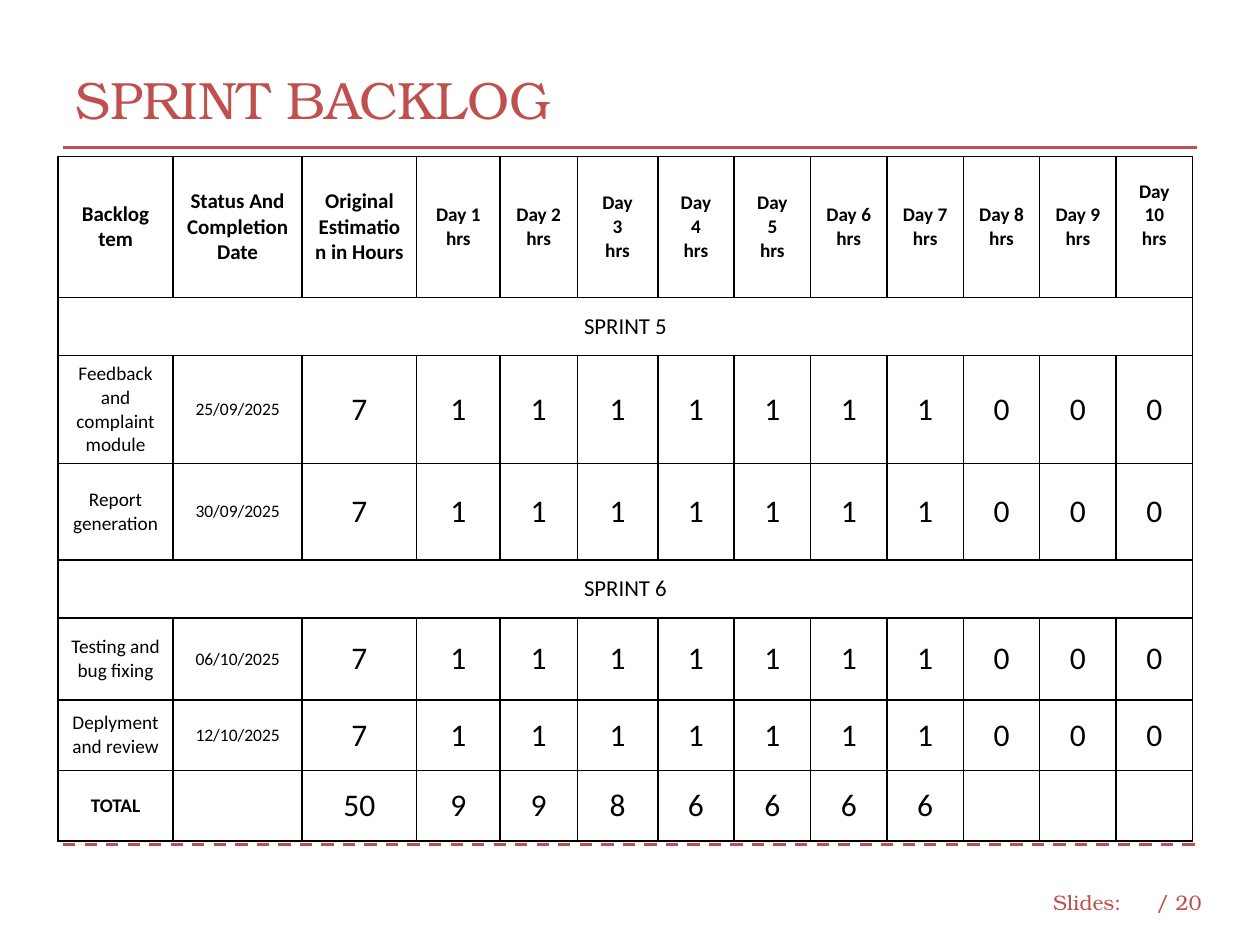
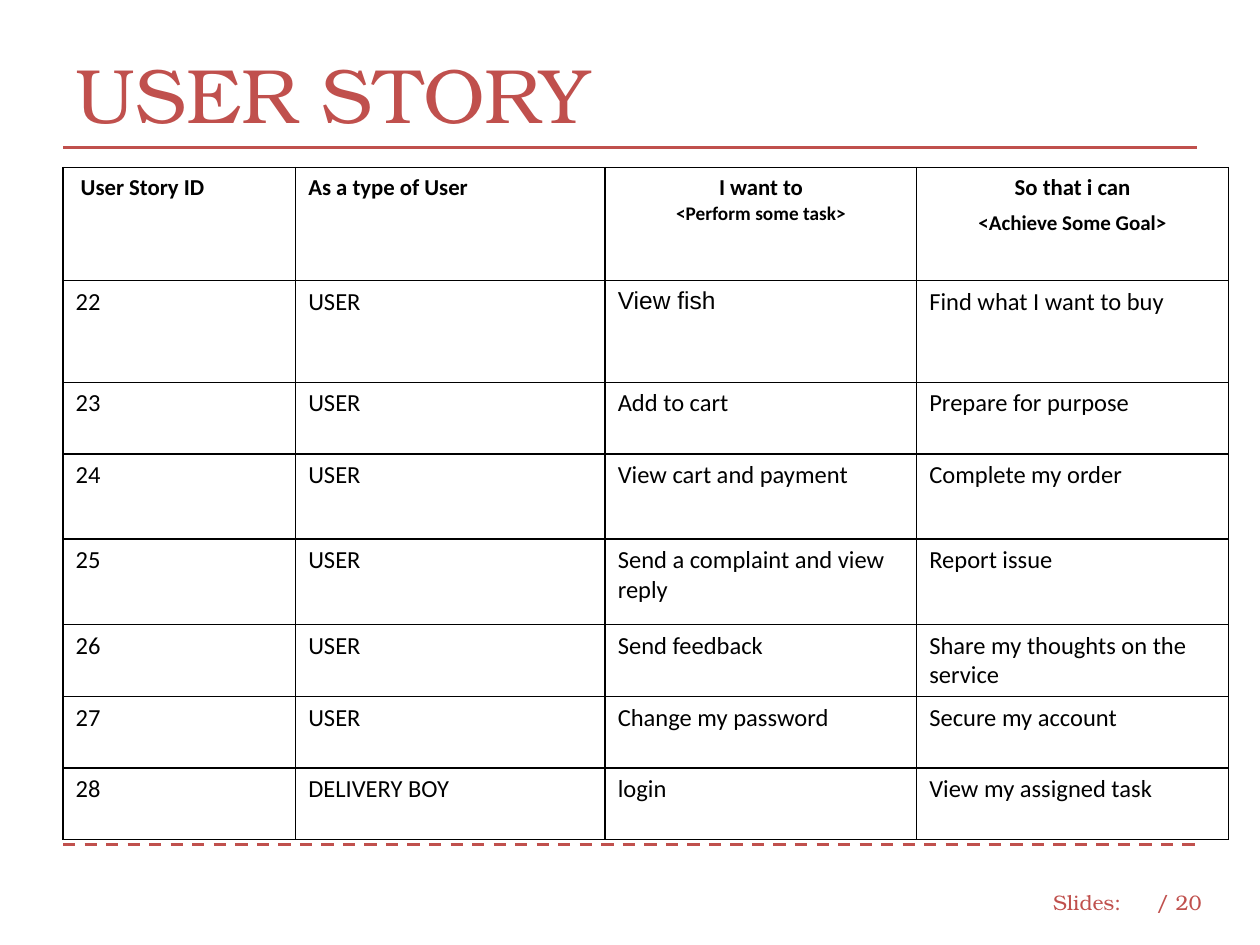
from lxml.etree import SubElement
from pptx import Presentation
from pptx.dml.color import RGBColor
from pptx.enum.dml import MSO_LINE_DASH_STYLE as DASH
from pptx.enum.shapes import MSO_CONNECTOR_TYPE as CONN
from pptx.enum.text import MSO_ANCHOR as ANCHOR, MSO_AUTO_SIZE as AUTO, PP_ALIGN as ALIGN
from pptx.oxml.ns import qn
from pptx.util import Cm, Pt

ACCENT, INK, PAPER = "C0504D", "000000", "FFFFFF"
SERIF, SANS = "TeX Gyre Bonum", "Calibri"
TITLE_BOX = (1.27, 0.84, 22.86, 2.31)
FOOTER_BOX = (20.98, 17.68, 3.53, 1.02)
BACKLOG_BOX = (1.17, 3.15)
STORY_BOX = (1.27, 3.38)

BACKLOG_COLS = [2.32, 2.6, 2.31, 1.68, 1.56, 1.62] + [1.54] * 7
BACKLOG_ROWS = [2.85, 1.17, 2.16, 1.95, 1.17, 1.65, 1.42, 1.42]
HOURS = ["7"] + ["1"] * 7 + ["0"] * 3
STACKED_DAYS = (3, 4, 5)
BACKLOG = [
    ["Backlog tem", "Status And Completion Date", "Original Estimation in Hours"]
    + [f"Day\n{d}\nhrs" if d in STACKED_DAYS else f"Day {d}\nhrs" for d in range(1, 11)],
    ["SPRINT 5"],
    ["Feedback and complaint module", "25/09/2025"] + HOURS,
    ["Report generation", "30/09/2025"] + HOURS,
    ["SPRINT 6"],
    ["Testing and bug fixing", "06/10/2025"] + HOURS,
    ["Deplyment and review", "12/10/2025"] + HOURS,
    ["TOTAL", "", "50", "9", "9", "8", "6", "6", "6", "6"],
]

STORY_COLS = [4.69, 6.24, 6.28, 6.28]
STORY_ROWS = [2.28, 2.05, 1.44, 1.72, 1.72, 1.44, 1.44, 1.44]
STORIES = [
    [" User Story ID", "As a type of User", "I want to\n<Perform some task>",
     "So that i can\n<Achieve Some Goal>"],
    ["22", "USER", "View fish", "Find what I want to buy"],
    ["23", "USER", "Add to cart", "Prepare for purpose"],
    ["24", "USER", "View cart and payment", "Complete my order"],
    ["25", "USER", "Send a complaint and view reply", "Report issue"],
    ["26", "USER", "Send feedback", "Share my thoughts on the service"],
    ["27", "USER", "Change my password", "Secure my account"],
    ["28", "DELIVERY BOY", "login", "View my assigned task"],
]


def rgb(value):
    """Turn a hex string into a colour."""
    return RGBColor.from_string(value)


def apply(obj, **formats):
    """Set each given attribute on an object."""
    for name, value in formats.items():
        setattr(obj, name, value)


def place(sp, x, y, w, h):
    """Move and size a shape, in centimetres."""
    apply(sp, left=Cm(x), top=Cm(y), width=Cm(w), height=Cm(h))


def write(tf, text, size, color=INK, font=SANS, bold=False, align=ALIGN.LEFT):
    """Write text into a frame, one paragraph per line."""
    for i, line in enumerate(text.split("\n")):
        p = tf.add_paragraph() if i else tf.paragraphs[0]
        p.alignment = align
        r = p.add_run()
        r.text = line
        apply(r.font, size=Pt(size), name=font, bold=bold)
        r.font.color.rgb = rgb(color)


def add_rule(slide, x, y, w, dash=None):
    """Draw a horizontal accent line."""
    sp = slide.shapes.add_connector(CONN.STRAIGHT, Cm(x), Cm(y), Cm(x + w), Cm(y))
    apply(sp.line, width=Pt(1.75), dash_style=dash)
    sp.line.color.rgb = rgb(ACCENT)
    SubElement(sp.element.spPr, qn("a:effectLst"))
    return sp


def add_label(slide, text, x, y, w, h):
    """Add a footer label."""
    sp = slide.shapes.add_textbox(Cm(x), Cm(y), Cm(w), Cm(h))
    apply(sp.text_frame, word_wrap=False, vertical_anchor=ANCHOR.MIDDLE)
    write(sp.text_frame, text, 12, ACCENT, SERIF)
    return sp


def add_frame(slide):
    """Draw the rules and footer, and move them to the layout."""
    x, y, w, h = FOOTER_BOX
    left, top, width, height = TITLE_BOX
    parts = [
        add_label(slide, "Slides:", x, y, 1.91, h),
        add_label(slide, "/ 20", x + 2.08, y, w - 2.08, h),
        add_rule(slide, left, y - 0.66, width, DASH.DASH),
        add_rule(slide, left, top + height - 0.18, width),
    ]
    for sp in parts:
        slide.slide_layout.shapes.element.append(sp.element)


def add_title(slide, text, size, spacing=1.0):
    """Fill the title placeholder."""
    sp = slide.shapes.title
    place(sp, *TITLE_BOX)
    apply(sp.text_frame, vertical_anchor=ANCHOR.MIDDLE, auto_size=AUTO.NONE, word_wrap=True)
    write(sp.text_frame, text, size, ACCENT, SERIF)
    sp.text_frame.paragraphs[0].line_spacing = spacing


def outline(cell):
    """Give a cell thin black borders and a plain fill."""
    tc_pr = cell._tc.get_or_add_tcPr()
    for side in ("lnL", "lnR", "lnT", "lnB"):
        ln = SubElement(tc_pr, qn(f"a:{side}"), w=str(Pt(0.96)))
        SubElement(SubElement(ln, qn("a:solidFill")), qn("a:srgbClr"), val=INK)
    cell.fill.solid()
    cell.fill.fore_color.rgb = rgb(PAPER)


def add_grid(slide, box, cols, rows):
    """Add an empty outlined table."""
    x, y = box
    table = slide.shapes.add_table(len(rows), len(cols), Cm(x), Cm(y),
                                   Cm(sum(cols)), Cm(sum(rows))).table
    apply(table, first_row=False, horz_banding=False)
    for col, width in zip(table.columns, cols):
        col.width = Cm(width)
    for row, height in zip(table.rows, rows):
        row.height = Cm(height)
    for cell in table.iter_cells():
        outline(cell)
    return table


def backlog_style(row, col):
    """Return size and weight for a backlog cell."""
    if row == 0:
        return (12 if col < 3 else 11), True
    if len(BACKLOG[row]) == 1:
        return 13, False
    return {0: 11, 1: 10}.get(col, 18), BACKLOG[row][col] == "TOTAL"


def backlog_table(slide, box):
    """Build the sprint hours table."""
    table = add_grid(slide, box, BACKLOG_COLS, BACKLOG_ROWS)
    for i, row in enumerate(BACKLOG):
        if len(row) == 1:
            table.cell(i, 0).merge(table.cell(i, len(BACKLOG_COLS) - 1))
        for j, text in enumerate(row):
            cell = table.cell(i, j)
            cell.vertical_anchor = ANCHOR.MIDDLE
            if text:
                size, bold = backlog_style(i, j)
                write(cell.text_frame, text, size, bold=bold, align=ALIGN.CENTER)
    table.cell(0, len(BACKLOG_COLS) - 1).margin_bottom = Cm(0.6)


def story_table(slide, box):
    """Build the user story table."""
    table = add_grid(slide, box, STORY_COLS, STORY_ROWS)
    for i, row in enumerate(STORIES):
        for j, text in enumerate(row):
            head = i == 0
            write(table.cell(i, j).text_frame, text, 13 if head else 14, bold=head,
                  font="Arial" if text == "View fish" else SANS,
                  align=ALIGN.CENTER if head and j > 1 else ALIGN.LEFT)
    for col, size, gap in ((2, 11, 0), (3, 12, 5)):
        p = table.cell(0, col).text_frame.paragraphs[1]
        p.space_before = Pt(gap)
        p.runs[0].font.size = Pt(size)


def main():
    """Build and save the deck."""
    prs = Presentation()
    apply(prs, slide_width=Cm(25.4), slide_height=Cm(19.05))
    layout = prs.slide_layouts[5]

    backlog = prs.slides.add_slide(layout)
    add_frame(backlog)
    add_title(backlog, "SPRINT BACKLOG", 30)
    backlog_table(backlog, BACKLOG_BOX)

    stories = prs.slides.add_slide(layout)
    add_title(stories, "USER STORY", 44, 0.9)
    story_table(stories, STORY_BOX)

    prs.save("out.pptx")


if __name__ == "__main__":
    main()
